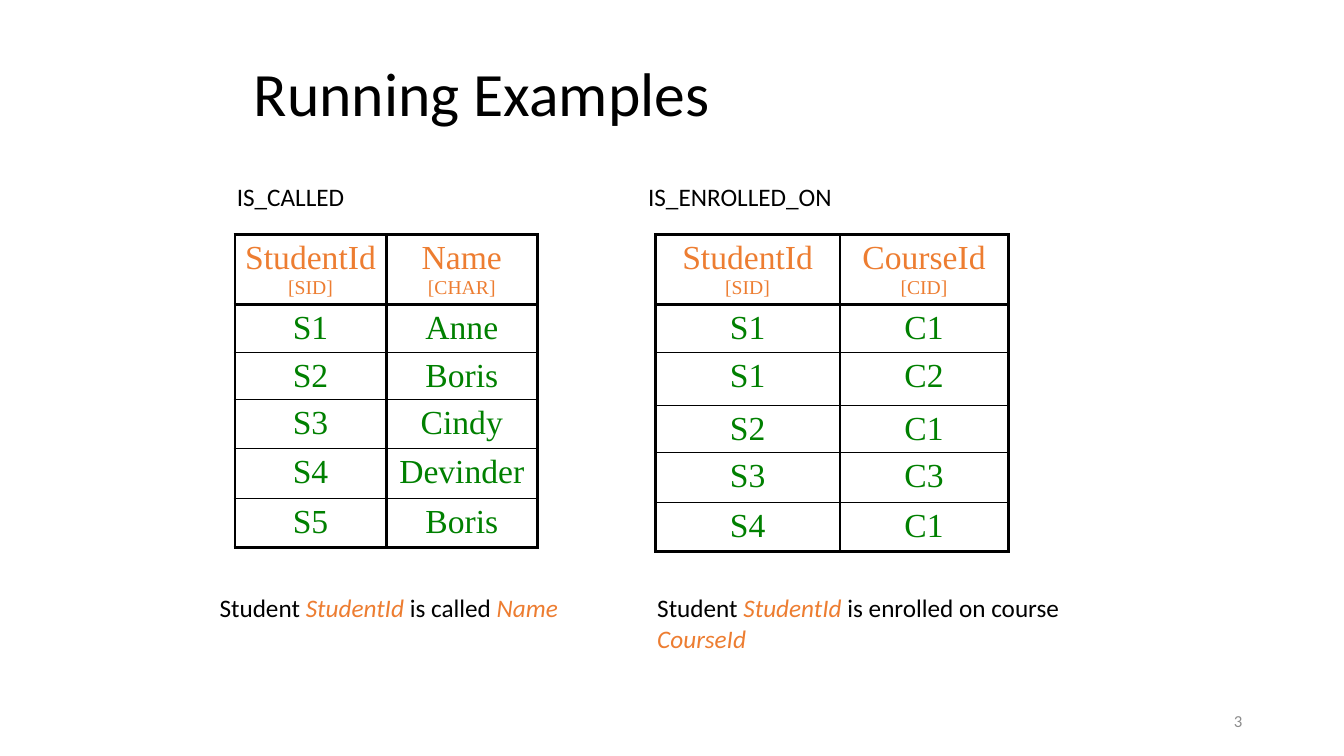
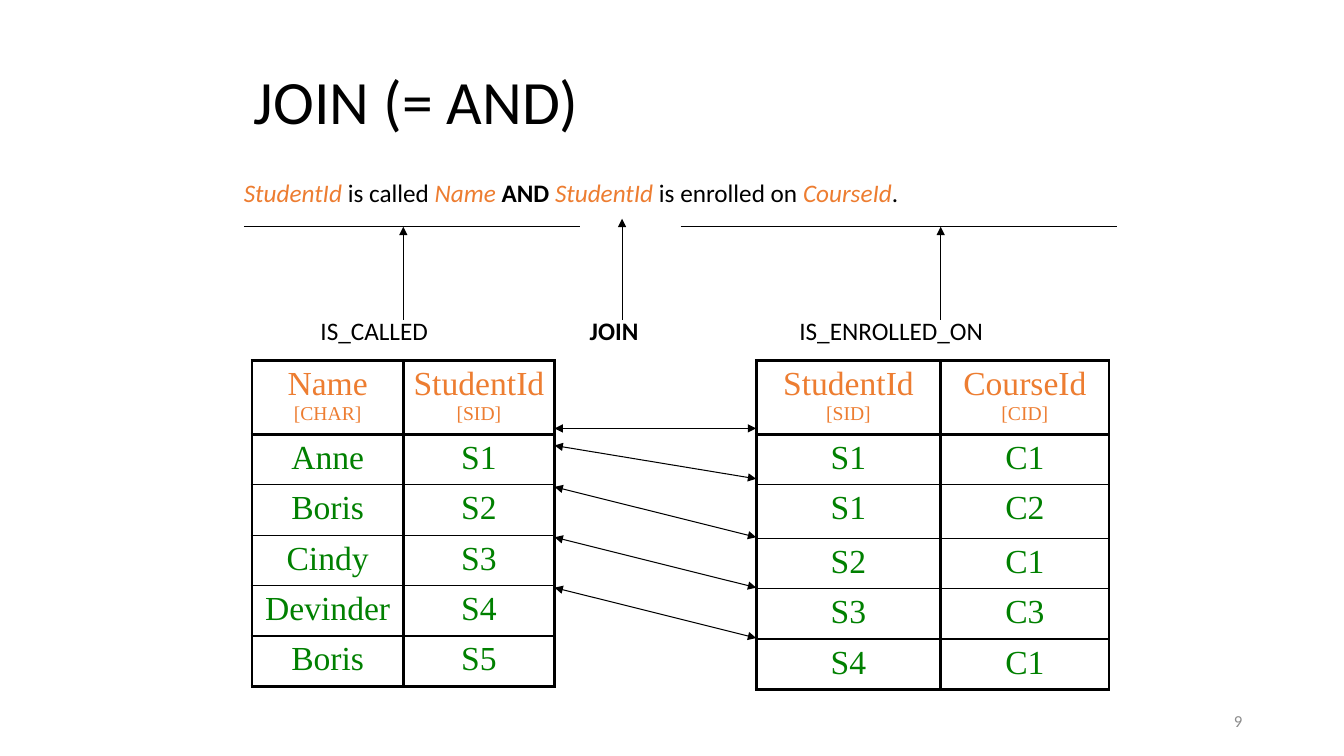
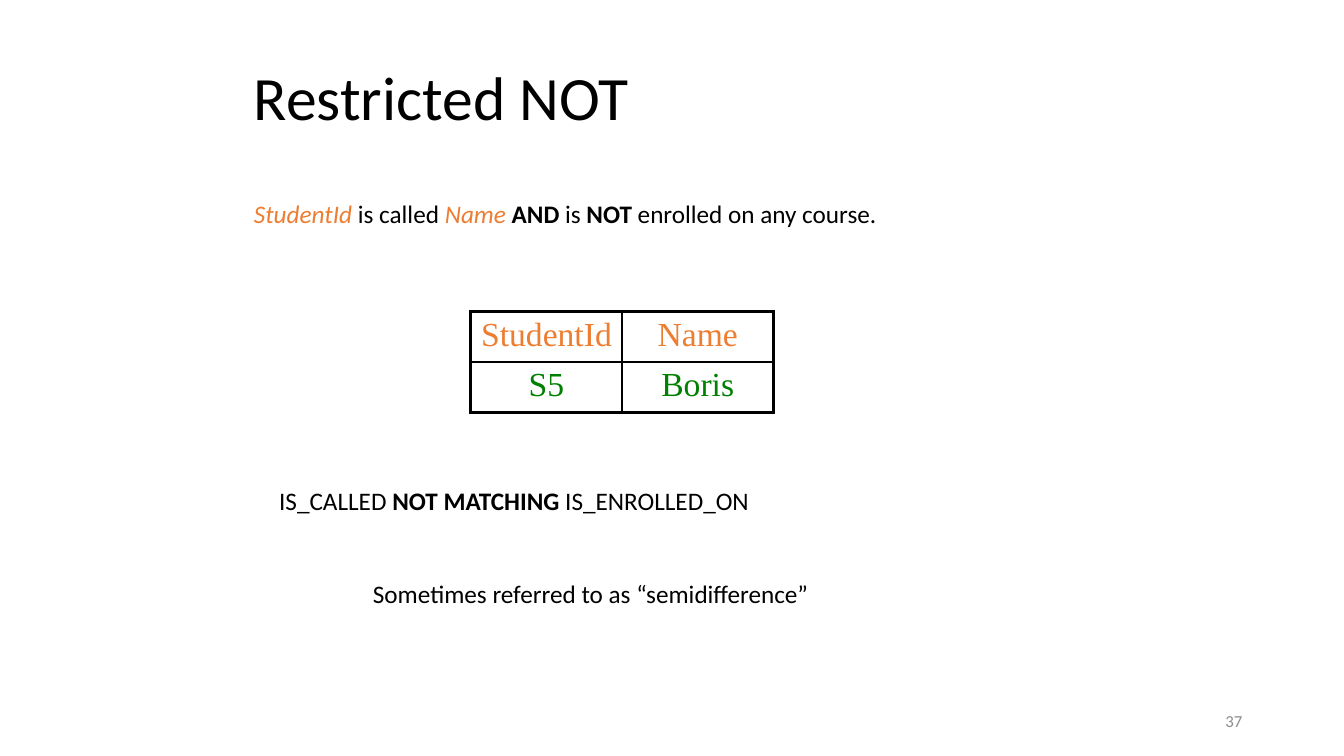
import dataclasses
import itertools
from typing import NamedTuple, Optional

import lxml.etree
import pptx
import pptx.dml.color
import pptx.enum.shapes
import pptx.enum.text
import pptx.oxml.ns
import pptx.util

Inches = pptx.util.Inches
Pt = pptx.util.Pt
qn = pptx.oxml.ns.qn
Align = pptx.enum.text.PP_ALIGN
Anchor = pptx.enum.text.MSO_ANCHOR


@dataclasses.dataclass(frozen=True)
class Theme:
    ink: str = "000000"
    variable: str = "ED7D31"
    value: str = "008000"
    muted: str = "8C8C8C"
    text_font: str = "Calibri"
    table_font: str = "Times New Roman"
    title_size: float = 44
    body_size: float = 18
    cell_size: float = 24
    type_size: float = 14
    number_size: float = 12
    thick: float = 2.25
    thin: float = 1
    arrow: float = 0.75


THEME = Theme()


class Area(NamedTuple):
    left: float
    top: float
    width: float
    height: float = 0.4


class Span(NamedTuple):
    text: str
    variable: bool = False
    bold: bool = False


class Column(NamedTuple):
    name: str
    type_name: str = ""
    width: float = 1.5


class Line(NamedTuple):
    """A straight line with optional triangles at its start and end."""
    start: tuple[float, float]
    end: tuple[float, float]
    head: bool = False
    tail: bool = False


@dataclasses.dataclass(frozen=True)
class Relation:
    columns: tuple[Column, ...]
    rows: tuple[tuple[str, ...], ...]

    def mirrored(self) -> "Relation":
        return Relation(self.columns[::-1], tuple(row[::-1] for row in self.rows))


STUDENT_ID = Span("StudentId", variable=True)
NAME = Span("Name", variable=True)
COURSE_ID = Span("CourseId", variable=True)

IS_CALLED = Relation(
    (Column("StudentId", "[SID]"), Column("Name", "[CHAR]")),
    (("S1", "Anne"), ("S2", "Boris"), ("S3", "Cindy"), ("S4", "Devinder"), ("S5", "Boris")),
)
IS_ENROLLED_ON = Relation(
    (Column("StudentId", "[SID]", 1.83), Column("CourseId", "[CID]", 1.67)),
    (("S1", "C1"), ("S1", "C2"), ("S2", "C1"), ("S3", "C3"), ("S4", "C1")),
)
NOT_ENROLLED = Relation((Column("StudentId"), Column("Name")), (("S5", "Boris"),))


def rgb(value: str) -> pptx.dml.color.RGBColor:
    return pptx.dml.color.RGBColor.from_string(value)


def set_font(font, name: str, size: float, colour: str) -> None:
    font.name = name
    font.size = Pt(size)
    font.color.rgb = rgb(colour)


def add_text(page, area: Area, *spans: Span, size: float = THEME.body_size,
             colour: str = THEME.ink, wrap: bool = False):
    box = page.shapes.add_textbox(*map(Inches, area))
    box.text_frame.word_wrap = wrap
    para = box.text_frame.paragraphs[0]
    set_font(para.font, THEME.text_font, size, colour)
    for span in spans:
        run = para.add_run()
        run.text = span.text
        if span.variable:
            run.font.italic = True
            run.font.color.rgb = rgb(THEME.variable)
        if span.bold:
            run.font.bold = True
    return box


def add_page(deck, title: str, number: int, title_top: float = 0.5, title_height: float = 1.08):
    """Add a blank slide with its title and slide number."""
    page = deck.slides.add_slide(deck.slide_layouts[6])
    number_box = add_text(page, Area(9.42, 6.95, 3), Span(str(number)),
                          size=THEME.number_size, colour=THEME.muted, wrap=True)
    number_box.text_frame.paragraphs[0].alignment = Align.RIGHT
    title_box = add_text(page, Area(2.42, title_top, 8.5, title_height), Span(title),
                         size=THEME.title_size, wrap=True)
    title_box.text_frame.paragraphs[0].line_spacing = 0.9
    for box in (number_box, title_box):
        box.text_frame.vertical_anchor = Anchor.MIDDLE
    return page


def set_borders(cell, top: float, bottom: float) -> None:
    properties = cell._tc.get_or_add_tcPr()
    widths = {"a:lnL": THEME.thick, "a:lnR": THEME.thick, "a:lnT": top, "a:lnB": bottom}
    for position, (tag, width) in enumerate(widths.items()):
        border = lxml.etree.Element(qn(tag), w=str(int(Pt(width))))
        fill = lxml.etree.SubElement(border, qn("a:solidFill"))
        lxml.etree.SubElement(fill, qn("a:srgbClr"), val=THEME.ink)
        properties.insert(position, border)


def fill_cell(cell, text: str, colour: str, type_name: str = "") -> None:
    cell.fill.background()
    cell.margin_top = Inches(0.05)
    cell.margin_bottom = Inches(0.01)
    cell.margin_left = cell.margin_right = Inches(0.05)
    para = cell.text_frame.paragraphs[0]
    para.alignment = Align.CENTER
    set_font(para.font, THEME.table_font, THEME.cell_size, colour)
    para.add_run().text = text
    if type_name:
        para.add_line_break()
        run = para.add_run()
        run.text = type_name
        run.font.size = Pt(THEME.type_size)


def add_relation(page, relation: Relation, left: float, top: float,
                 heights: tuple[float, ...]) -> None:
    columns = relation.columns
    width = sum(column.width for column in columns)
    frame = page.shapes.add_table(len(heights), len(columns), Inches(left), Inches(top),
                                  Inches(width), Inches(sum(heights)))
    table = frame.table
    table.first_row = table.horz_banding = False
    for index, height in enumerate(heights):
        table.rows[index].height = Inches(height)
    for index, column in enumerate(columns):
        table.columns[index].width = Inches(column.width)
        fill_cell(table.cell(0, index), column.name, THEME.variable, column.type_name)
        for row, values in enumerate(relation.rows, start=1):
            fill_cell(table.cell(row, index), values[index], THEME.value)
    last = len(heights) - 1
    for row, index in itertools.product(range(len(heights)), range(len(columns))):
        set_borders(table.cell(row, index),
                    top=THEME.thick if row <= 1 else THEME.thin,
                    bottom=THEME.thick if row in (0, last) else THEME.thin)


def add_line(page, line: Line) -> None:
    connector = page.shapes.add_connector(
        pptx.enum.shapes.MSO_CONNECTOR.STRAIGHT, *map(Inches, line.start + line.end))
    connector.line.color.rgb = rgb(THEME.ink)
    connector.line.width = Pt(THEME.arrow)
    properties = connector._element.spPr
    outline = properties.find(qn("a:ln"))
    for shown, tag in ((line.head, "a:headEnd"), (line.tail, "a:tailEnd")):
        if shown:
            lxml.etree.SubElement(outline, qn(tag), type="triangle")
    lxml.etree.SubElement(properties, qn("a:effectLst"))


def add_running_examples(deck) -> None:
    page = add_page(deck, "Running Examples", 3, title_top=0.42)
    add_relation(page, IS_CALLED, 2.33, 2.33, (0.68, 0.47, 0.47, 0.49, 0.49, 0.49))
    add_relation(page, IS_ENROLLED_ON, 6.5, 2.33, (0.68, 0.47, 0.53, 0.47, 0.49, 0.49))
    add_text(page, Area(2.25, 1.75, 1.28), Span("IS_CALLED"))
    add_text(page, Area(6.33, 1.75, 2.04), Span("IS_ENROLLED_ON"))
    add_text(page, Area(2.08, 5.83, 3.8), Span("Student "), STUDENT_ID,
             Span(" is called "), NAME, wrap=True)
    add_text(page, Area(6.42, 5.83, 4.58, 0.71), Span("Student "), STUDENT_ID,
             Span(" is enrolled on course "), COURSE_ID, wrap=True)


def add_join(deck) -> None:
    page = add_page(deck, "JOIN (= AND)", 9)
    add_text(page, Area(2.32, 1.71, 6.76), STUDENT_ID, Span(" is called "), NAME,
             Span(" AND ", bold=True), STUDENT_ID, Span(" is enrolled on "),
             COURSE_ID, Span("."))
    add_text(page, Area(3.08, 3.08, 1.28), Span("IS_CALLED"))
    add_text(page, Area(5.75, 3.08, 0.69), Span("JOIN", bold=True))
    add_text(page, Area(7.83, 3.08, 2.04), Span("IS_ENROLLED_ON"))

    underline_top = 2.25
    for x, tip in ((4, underline_top), (6.17, 2.17), (9.33, underline_top)):
        add_line(page, Line((x, 3.17), (x, tip), tail=True))
    for left, right in ((2.42, 5.75), (6.75, 11.08)):
        add_line(page, Line((left, underline_top), (right, underline_top)))

    add_relation(page, IS_CALLED.mirrored(), 2.5, 3.58, (0.73,) + (0.5,) * 5)
    add_relation(page, IS_ENROLLED_ON, 7.5, 3.58, (0.73, 0.5, 0.53, 0.5, 0.5, 0.5))
    matches = ((4.25, 4.25), (4.42, 4.75), (4.83, 5.33), (5.33, 5.83), (5.83, 6.33))
    for called, enrolled in matches:
        add_line(page, Line((5.5, called), (7.5, enrolled), head=True, tail=True))


def add_restricted_not(deck) -> None:
    page = add_page(deck, "Restricted NOT", 37, title_height=1)
    add_text(page, Area(2.42, 1.92, 6.45), STUDENT_ID, Span(" is called "), NAME,
             Span(" AND", bold=True), Span(" is "), Span("NOT", bold=True),
             Span(" enrolled on any course."))
    add_text(page, Area(2.67, 4.77, 4.91), Span("IS_CALLED "),
             Span("NOT MATCHING", bold=True), Span(" IS_ENROLLED_ON"))
    add_relation(page, NOT_ENROLLED, 4.67, 3.09, (0.5, 0.5))
    add_text(page, Area(3.6, 5.69, 4.58), Span("Sometimes referred to as “semidifference”"))


def main() -> None:
    deck = pptx.Presentation()
    deck.slide_width = Inches(13.33)
    deck.slide_height = Inches(7.5)
    add_running_examples(deck)
    add_join(deck)
    add_restricted_not(deck)
    deck.save("out.pptx")


if __name__ == "__main__":
    main()
